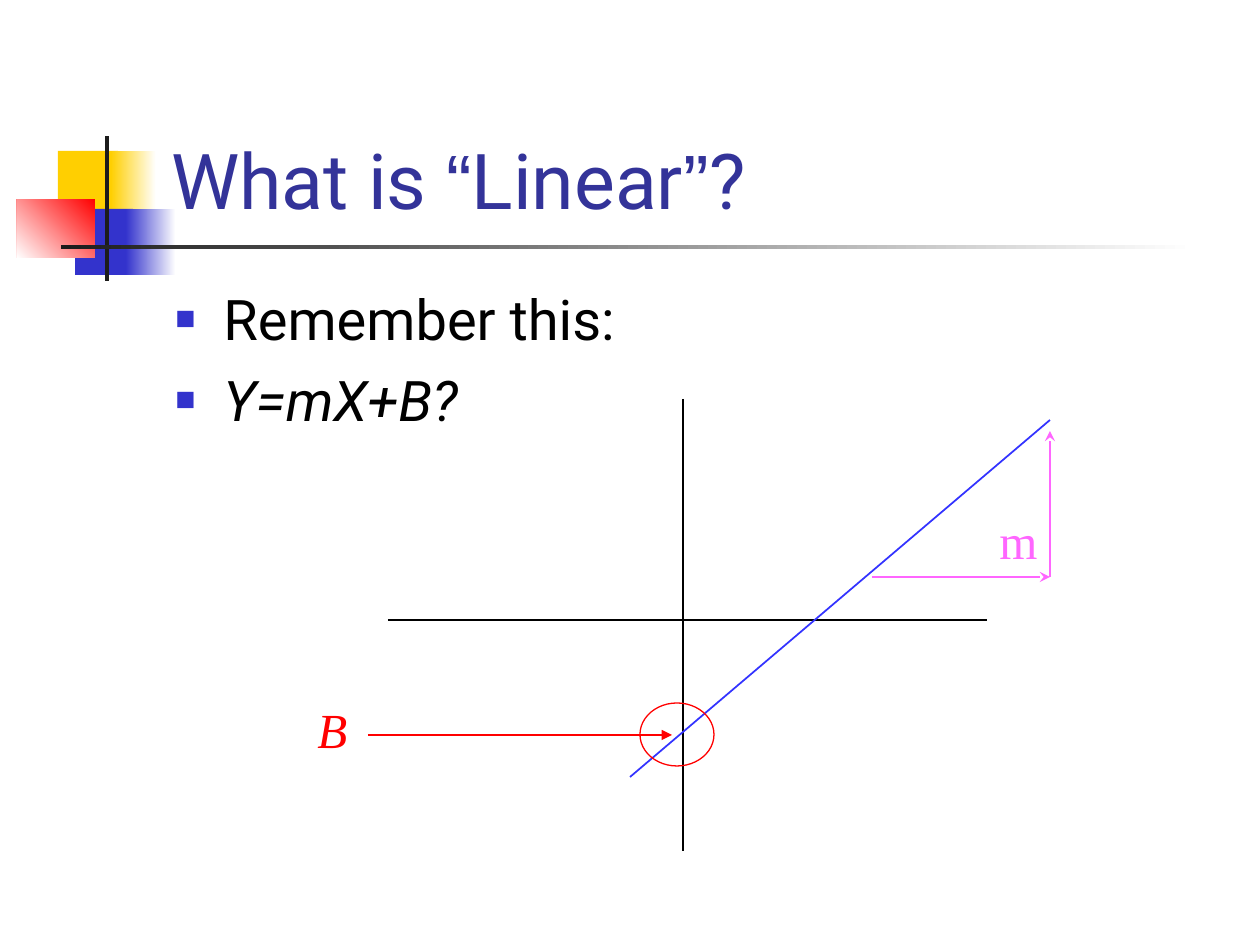
from lxml import etree
from pptx import Presentation
from pptx import util as u
from pptx.dml import color
from pptx.enum import shapes, text
from pptx.oxml import ns

PX = 914400 / 126
BLACK, WHITE, RED, PINK, BLUE = "000000", "FFFFFF", "FF0000", "FF66FF", "3333CC"


def px(*lengths):
    return [u.Emu(round(length * PX)) for length in lengths]


def rgb(code):
    return color.RGBColor.from_string(code)


def add_block(slide, box, start, end=None, angle=0):
    block = slide.shapes.add_shape(shapes.MSO_SHAPE.RECTANGLE, *px(*box))
    block.shadow.inherit = False
    block.line.fill.background()
    if end is None:
        block.fill.solid()
        block.fill.fore_color.rgb = rgb(start)
        return
    block.fill.gradient()
    block.fill.gradient_angle = angle
    for stop, position, code in zip(block.fill.gradient_stops, (0, 1), (start, end)):
        stop.position = position
        stop.color.rgb = rgb(code)


def add_line(slide, ends, code, width=0.75, arrow=None):
    line = slide.shapes.add_connector(shapes.MSO_CONNECTOR.STRAIGHT, *px(*ends))
    line.line.color.rgb = rgb(code)
    line.line.width = u.Pt(width)
    if arrow:
        etree.SubElement(line.line._get_or_add_ln(), ns.qn("a:tailEnd"), type=arrow)
    etree.SubElement(line._element.spPr, ns.qn("a:effectLst"))


def add_ring(slide, box, code):
    ring = slide.shapes.add_shape(shapes.MSO_SHAPE.OVAL, *px(*box))
    ring.shadow.inherit = False
    ring.fill.background()
    ring.line.color.rgb = rgb(code)
    ring.line.width = u.Pt(0.75)


def add_frame(slide, box, anchor=text.MSO_ANCHOR.TOP):
    frame = slide.shapes.add_textbox(*px(*box)).text_frame
    frame.word_wrap = True
    frame.vertical_anchor = anchor
    return frame


def add_run(paragraph, words, font, size, code, italic=False):
    run = paragraph.add_run()
    run.text = words
    run.font.name = font
    run.font.size = u.Pt(size)
    run.font.italic = italic
    run.font.color.rgb = rgb(code)


def add_title(slide):
    title = add_frame(slide, (159, 29, 1074, 202), text.MSO_ANCHOR.BOTTOM).paragraphs[0]
    for words, font in (("What is ", "Roboto"), ("“", "Arial"), ("Linear", "Roboto"),
                        ("”", "Arial"), ("?", "Roboto")):
        add_run(title, words, font, 44, "333399")


def add_bullet(paragraph):
    properties = paragraph._p.get_or_add_pPr()
    properties.set("marL", str(px(48)[0]))
    properties.set("indent", str(px(-48)[0]))
    bullet_color = etree.SubElement(properties, ns.qn("a:buClr"))
    etree.SubElement(bullet_color, ns.qn("a:srgbClr"), val=BLUE)
    etree.SubElement(properties, ns.qn("a:buSzPct"), val="60000")
    etree.SubElement(properties, ns.qn("a:buFont"), typeface="Arial")
    etree.SubElement(properties, ns.qn("a:buChar"), char="■")


def add_points(slide):
    frame = add_frame(slide, (163, 278, 1071, 567))
    for index, (words, italic) in enumerate((("Remember this:", False), ("Y=mX+B?", True))):
        point = frame.add_paragraph() if index else frame.paragraphs[0]
        if index:
            point.space_before = u.Pt(8)
        add_bullet(point)
        add_run(point, words, "Roboto", 32, BLACK, italic)


def add_label(slide, box, letter, code, italic=False):
    label = add_frame(slide, box).paragraphs[0]
    add_run(label, letter, "Times New Roman", 28, code, italic)


def add_ornament(slide):
    add_block(slide, (58, 151, 60, 66), "FFCF01")
    add_block(slide, (111, 151, 45, 66), "FFCF01", WHITE)
    add_block(slide, (75, 209, 58, 66), BLUE)
    add_block(slide, (126, 209, 50, 66), BLUE, WHITE)
    add_block(slide, (17, 199, 78, 59), RED, WHITE, 225)
    add_block(slide, (105, 136, 4, 145), "1C1C1C")
    add_block(slide, (61, 245, 1134, 4), "1C1C1C", WHITE)


def add_graph(slide):
    add_line(slide, (683, 399, 683, 851), BLACK)
    add_line(slide, (388, 620, 987, 620), BLACK)
    add_line(slide, (630, 777, 1050, 420), "3333FF", 1)

    add_ring(slide, (640, 703, 74, 63), RED)
    add_label(slide, (305, 693, 95, 72), "B", RED, True)
    add_line(slide, (368, 735, 672, 735), RED, arrow="triangle")

    add_line(slide, (872, 577, 1050, 577), PINK, arrow="stealth")
    add_line(slide, (1050, 577, 1050, 431), PINK, arrow="stealth")
    add_label(slide, (987, 504, 126, 72), "m", PINK)


def main():
    deck = Presentation()
    deck.slide_width, deck.slide_height = px(1260, 945)
    slide = deck.slides.add_slide(deck.slide_layouts[6])
    add_ornament(slide)
    add_title(slide)
    add_points(slide)
    add_graph(slide)
    deck.save("out.pptx")


if __name__ == "__main__":
    main()
